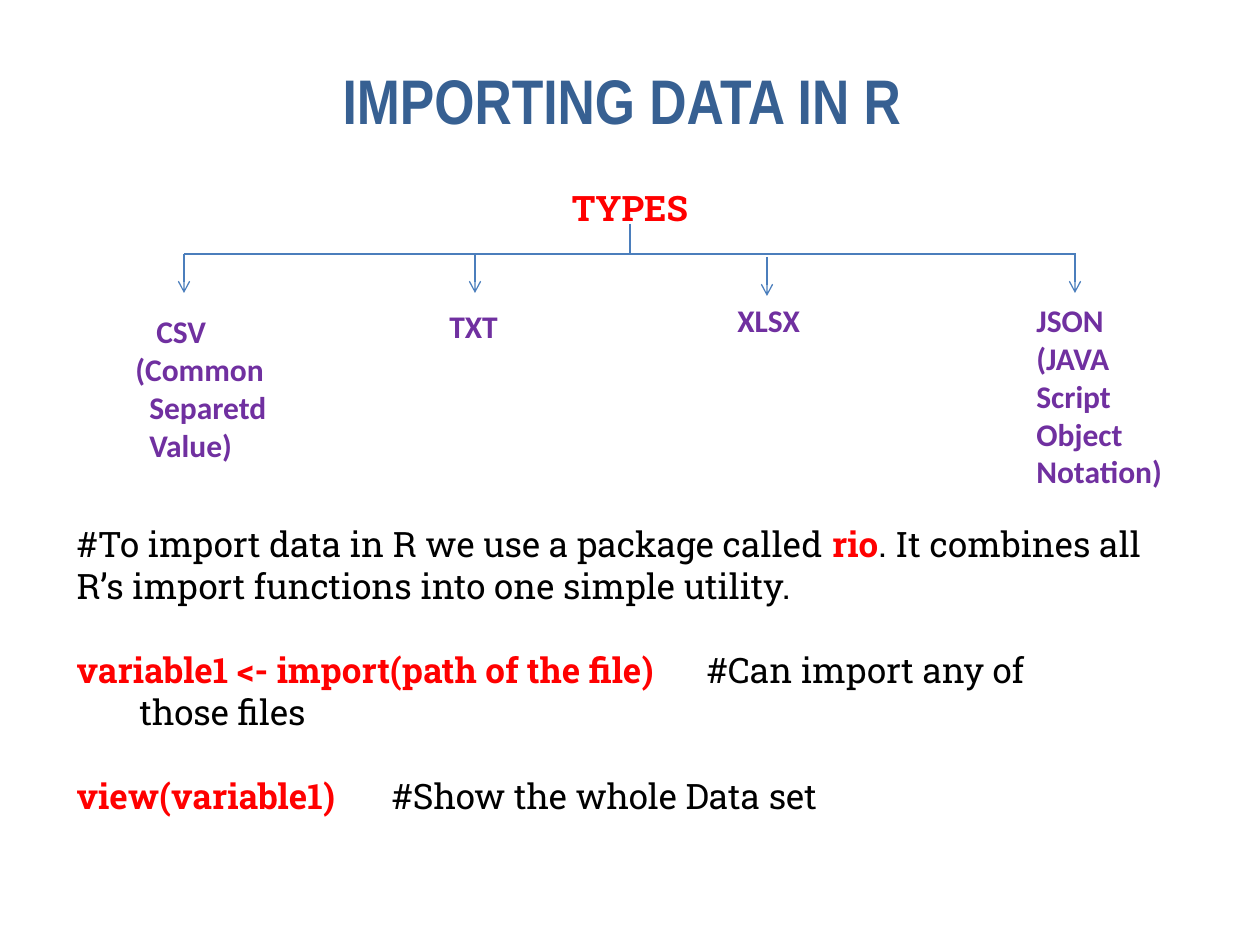
from lxml.etree import SubElement
from pptx import Presentation
from pptx.dml.color import RGBColor
from pptx.enum.shapes import MSO_CONNECTOR as CONNECTOR
from pptx.enum.text import MSO_ANCHOR as ANCHOR, MSO_AUTO_SIZE as AUTO_SIZE, PP_ALIGN as ALIGN
from pptx.oxml.ns import qn
from pptx.util import Pt

PX = 914400 // 126
NAVY = RGBColor(0x37, 0x60, 0x92)
RED = RGBColor(0xFF, 0, 0)
BLACK = RGBColor(0, 0, 0)
PURPLE = RGBColor(0x70, 0x30, 0xA0)
BLUE = RGBColor(0x4B, 0x7E, 0xBC)


def place(shape, left, top, width, height):
    shape.left, shape.top = left * PX, top * PX
    shape.width, shape.height = width * PX, height * PX


def add_line(x1, y1, x2, y2, arrow=False):
    line = slide.shapes.add_connector(
        CONNECTOR.STRAIGHT, x1 * PX, y1 * PX, x2 * PX, y2 * PX)
    line.line.color.rgb = BLUE
    line.line.width = Pt(0.75)
    if arrow:
        SubElement(line.line._get_or_add_ln(), qn("a:tailEnd"), type="arrow")
    SubElement(line._element.spPr, qn("a:effectLst"))


deck = Presentation()
deck.slide_width, deck.slide_height = 1260 * PX, 945 * PX
slide = deck.slides.add_slide(deck.slide_layouts[1])

title = slide.shapes.title
place(title, 248, 55, 748, 89)
title.text_frame.text = "IMPORTING DATA IN R"
title.text_frame.word_wrap = False
heading = title.text_frame.paragraphs[0]
heading.alignment = ALIGN.CENTER
heading.font.name, heading.font.size = "Arial Narrow", Pt(36)
heading.font.bold, heading.font.color.rgb = True, NAVY

body = slide.placeholders[1]
place(body, 64, 180, 1132, 692)
notes = body.text_frame
notes.auto_size = AUTO_SIZE.NONE
notes.vertical_anchor = ANCHOR.TOP

passages = [
    (0, [], [("TYPES", RED)]),
    (168, [], [("#To import data in R we use a package called ", BLACK), ("rio", RED),
               (". It combines all R’s import functions into one simple utility.", BLACK)]),
    (24, [404, 630], [("variable1 <- import(path of the file)", RED),
                      ("\t#Can import any of\v\tthose files", BLACK)]),
    (24, [504], [("view(variable1)", RED), ("\t#Show the whole Data set", BLACK)]),
]
for index, (gap, tab_stops, pieces) in enumerate(passages):
    passage = notes.add_paragraph() if index else notes.paragraphs[0]
    passage.alignment = ALIGN.LEFT if index else ALIGN.CENTER
    passage.space_before = Pt(gap)
    passage.font.name, passage.font.size = "Roboto Slab", Pt(20)
    props = passage._p.get_or_add_pPr()
    props.set("marL", "0")
    props.set("indent", "0")
    bullet = props.makeelement(qn("a:buNone"), {})
    tabs = props.makeelement(qn("a:tabLst"), {})
    for stop in tab_stops:
        SubElement(tabs, qn("a:tab"), pos=str(stop * PX), algn="l")
    props.find(qn("a:defRPr")).addprevious(bullet)
    bullet.addnext(tabs)
    for text, color in pieces:
        for part, words in enumerate(text.split("\v")):
            if part:
                passage.add_line_break()
            run = passage.add_run()
            run.text = words
            run.font.name, run.font.size = "Roboto Slab", Pt(20)
            run.font.bold, run.font.color.rgb = color == RED, color

add_line(630, 224, 630, 254)
add_line(184, 254, 1076, 254)
for x, top in [(184, 254), (475, 254), (767, 257), (1075, 254)]:
    add_line(x, top, x, top + 39, arrow=True)

formats = [
    ((123, 306, 176, 165), [("CSV", 21), ("(Common", 0), ("Separetd", 14), ("Value)", 14)]),
    ((437, 301, 74, 50), [("TXT", 0)]),
    ((725, 295, 88, 50), [("XLSX", 0)]),
    ((1024, 295, 152, 204), [("JSON", 0), ("(JAVA", 0), ("Script", 0), ("Object", 0),
                             ("Notation)", 0)]),
]
for box, lines in formats:
    label = slide.shapes.add_textbox(*(length * PX for length in box))
    label.text_frame.word_wrap = len(lines) == 4
    label.text_frame.text = "\n".join(words for words, indent in lines)
    for row, (words, indent) in zip(label.text_frame.paragraphs, lines):
        row.font.name, row.font.size = "Calibri", Pt(18)
        row.font.bold, row.font.color.rgb = True, PURPLE
        if indent:
            row._p.get_or_add_pPr().set("marL", str(indent * PX))

deck.save("out.pptx")
